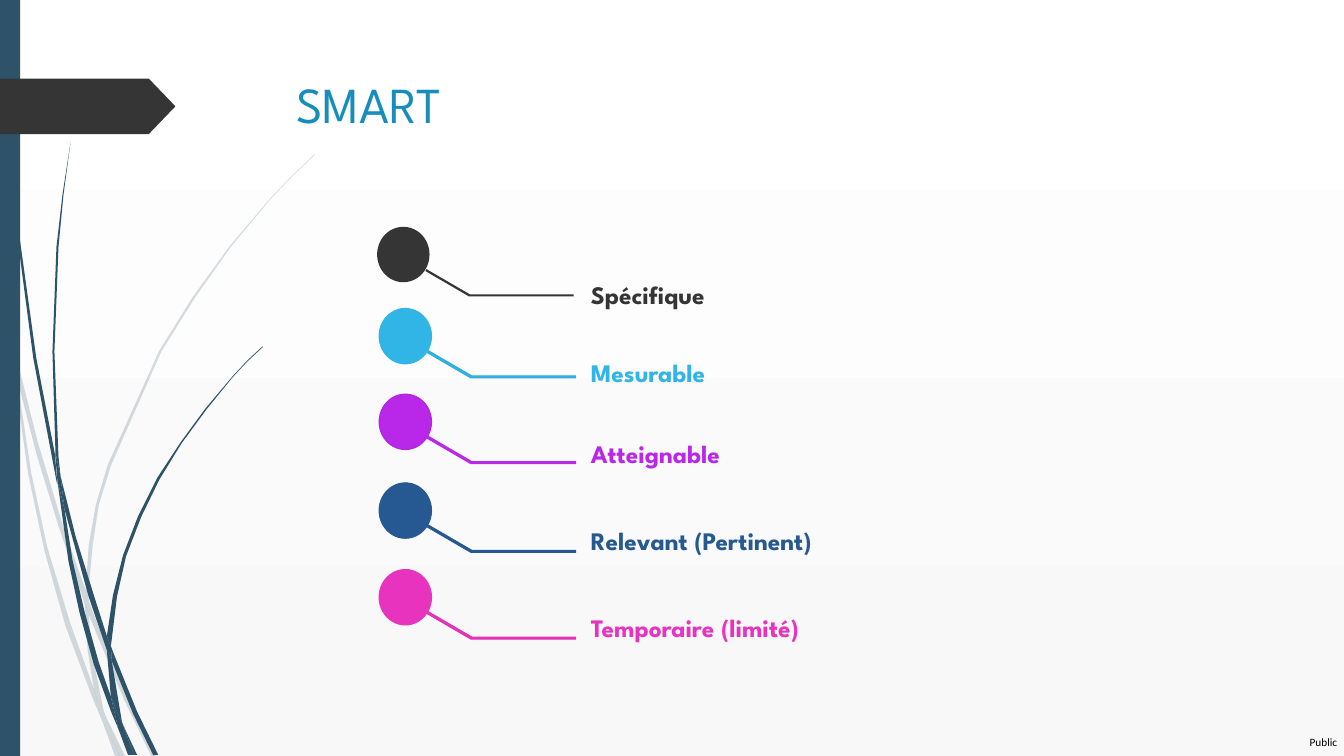
from pptx import Presentation
from pptx.dml.color import RGBColor
from pptx.enum.shapes import MSO_SHAPE
from pptx.enum.text import MSO_ANCHOR
from pptx.oxml.ns import qn
from pptx.util import Cm, Pt
from lxml import etree

OVAL = MSO_SHAPE.OVAL
RECTANGLE = MSO_SHAPE.RECTANGLE
PENTAGON = MSO_SHAPE.PENTAGON
TOP = MSO_ANCHOR.TOP
MIDDLE = MSO_ANCHOR.MIDDLE

GRID = Cm(2.54) // 100
BLUE = "2E5369"
DARK = "353535"
BRAND_FONT = "League Spartan"

FAINT_BLADES = [
    [(58, 522), (84, 599), (85, 586), (62, 520), (37, 437), (14, 345), (17, 376), (36, 450)],
    [(92, 607), (88, 596), (88, 610), (123, 694), (150, 750), (155, 750), (127, 692)],
    [(119, 750), (124, 750), (105, 711)],
    [(93, 683), (70, 619), (47, 543), (31, 469), (17, 376), (11, 350), (28, 470),
     (44, 546), (65, 621), (92, 693), (101, 714), (99, 707)],
    [(84, 599), (87, 646), (93, 683), (96, 692), (105, 711), (103, 706), (91, 646),
     (88, 610), (88, 608)],
    [(88, 584), (92, 541), (98, 501), (110, 462), (160, 349), (193, 296), (229, 245),
     (268, 198), (290, 175), (312, 154), (312, 153), (289, 175), (268, 197), (228, 244),
     (191, 295), (158, 348), (107, 461), (95, 501), (88, 541), (85, 584), (85, 586),
     (88, 596)],
    [(101, 714), (114, 750), (119, 750)],
    [(88, 608), (88, 610), (88, 596), (85, 586), (84, 599)],
    [(96, 692), (93, 683), (99, 707), (101, 714), (119, 750), (105, 711)],
]
BOLD_BLADES = [
    [(7, 110), (17, 233), (33, 355), (56, 477), (57, 481), (55, 457), (55, 453), (36, 355),
     (19, 232), (8, 109), (5, 48), (4, 0), (3, 0), (4, 48)],
    [(88, 592), (106, 645), (106, 633), (106, 631), (93, 590), (75, 532), (60, 472),
     (64, 505)],
    [(113, 649), (110, 641), (111, 656), (132, 708), (152, 749), (157, 749), (136, 706)],
    [(110, 691), (98, 657), (84, 607), (72, 556), (64, 505), (57, 477), (68, 557),
     (79, 608), (93, 659), (111, 708), (117, 722), (116, 717)],
    [(60, 472), (58, 453), (54, 349), (58, 245), (63, 193), (70, 141), (62, 193),
     (56, 245), (52, 349), (55, 449)],
    [(133, 749), (136, 749), (122, 719)],
    [(57, 477), (64, 505), (60, 472), (55, 449), (55, 453)],
    [(111, 633), (116, 592), (125, 552), (140, 513), (158, 476), (180, 440), (205, 406),
     (231, 374), (245, 359), (261, 344), (260, 344), (245, 358), (231, 373), (204, 405),
     (179, 439), (156, 474), (137, 512), (122, 551), (112, 591), (106, 631), (110, 641)],
    [(117, 722), (127, 749), (131, 749)],
    [(106, 645), (110, 691), (116, 706), (122, 719), (121, 716), (111, 656), (109, 651)],
    [(106, 645), (109, 651), (111, 656), (110, 641), (106, 631), (106, 633)],
    [(116, 706), (110, 691), (116, 717), (117, 722), (130, 749), (133, 749), (122, 719)],
]
ELBOW = [(195, 69), (91, 69), (48, 44), (49, 42), (92, 67), (195, 67)]
CRITERIA = [
    ("Spécifique", 374, 225, 277, DARK, None, None),
    ("Mesurable", 376, 306, 354, "31B4E6", "31B4E6", "2FACDC"),
    ("Atteignable", 376, 391, 435, "B927E9", "B125DF", "B927E9"),
    ("Relevant (Pertinent)", 376, 479, 521, "265991", "265991", "265991"),
    ("Temporaire (limité)", 376, 565, 607, "E833BF", "E833BF", "DE31B6"),
]


def rgb(value):
    return RGBColor.from_string(value)


def cells(*counts):
    return [Cm(count * 2.54 / 100) for count in counts]


def write(frame, text, size=18, font=BRAND_FONT, color=DARK, bold=False):
    run = frame.paragraphs[0].add_run()
    run.text = text
    run.font.size = Pt(size)
    run.font.name = font
    run.font.bold = bold
    run.font.color.rgb = rgb(color)


class Board:
    def __init__(self, slide):
        self.slide = slide

    def background(self, start, end):
        fill = self.slide.background.fill
        fill.gradient()
        fill.gradient_angle = 270
        for stop, color in zip(fill.gradient_stops, (start, end)):
            stop.color.rgb = rgb(color)

    def group(self):
        return self.slide.shapes.add_group_shape().shapes

    def paint(self, shape, fill, line=None, opacity=None):
        shape.shadow.inherit = False
        shape.fill.solid()
        shape.fill.fore_color.rgb = rgb(fill)
        if opacity:
            tint = shape.fill._xPr.find(qn("a:solidFill"))[0]
            etree.SubElement(tint, qn("a:alpha")).set("val", str(opacity * 1000))
        if line:
            shape.line.color.rgb = rgb(line)
            shape.line.width = Pt(0.75)
        else:
            shape.line.fill.background()

    def preset(self, kind, box, fill, line=None, parent=None):
        shapes = self.slide.shapes if parent is None else parent
        shape = shapes.add_shape(kind, *cells(*box))
        self.paint(shape, fill, line)
        return shape

    def outline(self, parent, points, fill, line=None, opacity=None):
        builder = parent.build_freeform(*points[0], scale=GRID)
        builder.add_line_segments(points[1:], close=True)
        self.paint(builder.convert_to_shape(), fill, line, opacity)

    def text(self, text, box, anchor=TOP, inset=(0, 0), wrap=True, **style):
        frame = self.slide.shapes.add_textbox(*cells(*box)).text_frame
        frame.word_wrap = wrap
        frame.vertical_anchor = anchor
        frame.margin_left, frame.margin_top = cells(*inset)
        frame.margin_right, frame.margin_bottom = cells(*inset)
        write(frame, text, **style)


def main():
    deck = Presentation()
    deck.slide_width, deck.slide_height = cells(1333, 750)
    board = Board(deck.slides.add_slide(deck.slide_layouts[6]))
    board.background("FFFFFF", "F8F8F8")

    for blades, opacity in ((FAINT_BLADES, 20), (BOLD_BLADES, None)):
        plant = board.group()
        for blade in blades:
            board.outline(plant, blade, BLUE, opacity=opacity)

    board.preset(RECTANGLE, (0, 0, 20, 750), BLUE)
    board.text("Public", (1299, 730, 30, 13), wrap=False, size=8, font="Calibri", color="000000")
    pointer = board.preset(PENTAGON, (0, 78, 174, 55), DARK)
    pointer.adjustments[0] = 0.48
    board.text("SMART", (284, 68, 975, 140), inset=(10, 5), size=36, color="178DBB")

    for label, left, top, label_top, color, disc_line, elbow_line in CRITERIA:
        board.text(label, (586, label_top, 700, 30), anchor=MIDDLE, color=color, bold=True)
        marker = board.group()
        board.preset(OVAL, (left, top, 52, 55), color, disc_line, marker)
        elbow = [(left + x, top + y) for x, y in ELBOW]
        board.outline(marker, elbow, color, elbow_line)

    deck.save("out.pptx")


if __name__ == "__main__":
    main()
